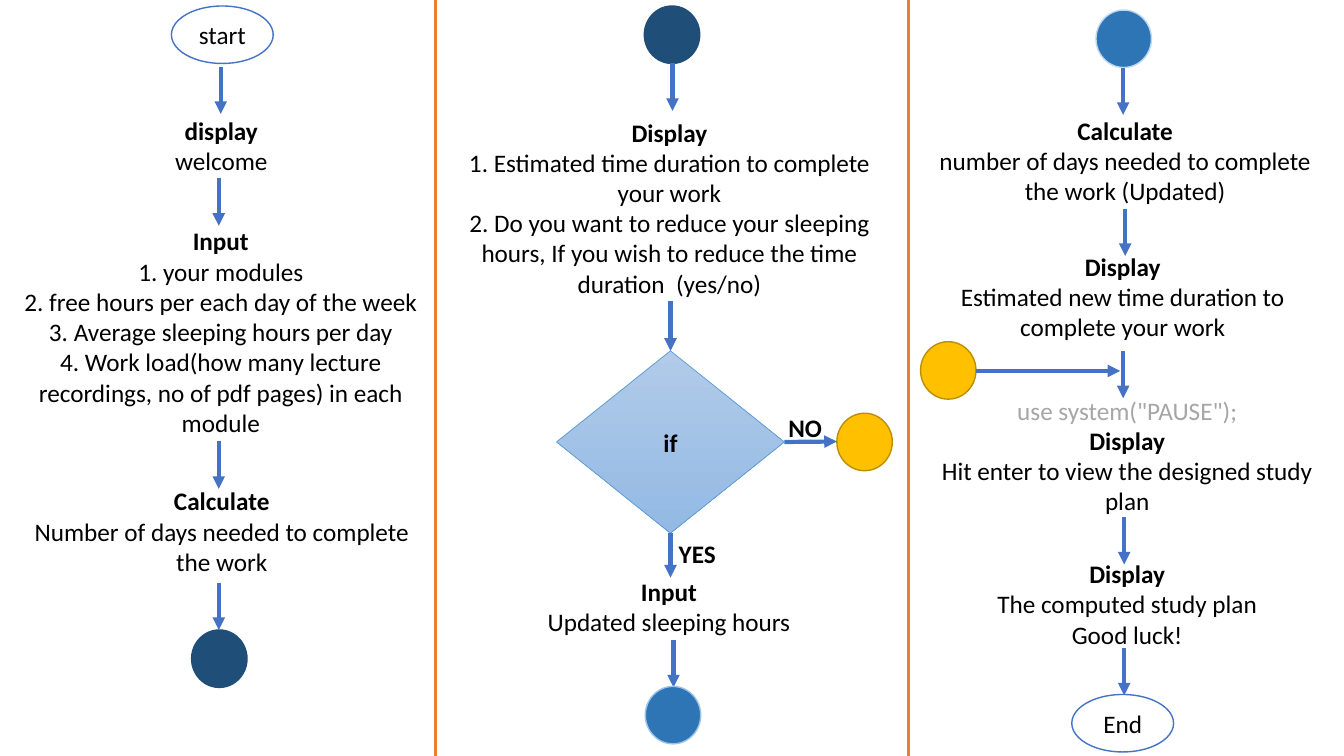
import pptx
import pptx.dml.color
import pptx.enum.shapes
import pptx.enum.text
import pptx.oxml
import pptx.oxml.ns
import pptx.util

PX = 9144
WIDTH, HEIGHT = 1333, 750
DIVIDERS = (432, 901)
FONT, FONT_SIZE = "Calibri", 18
BLACK, WHITE, GREY = "000000", "FFFFFF", "A6A6A6"
BLUE, ORANGE = "4472C4", "ED7D31"
NAVY_LINK = ("1F4E79", "1F4E79")
YELLOW_LINK = ("FFC000", "BD8E00")
MID_BLUE = "2E75B6"
ARROW_LENGTH = 47
LINK_SIZE = (55, 57)
TERMINAL_SIZE = (101, 57)
SHAPES = pptx.enum.shapes.MSO_SHAPE


def px(length):
    """Turn a length in px into EMU."""
    return pptx.util.Emu(length * PX)


def color(value):
    """Turn a hex string into a colour."""
    return pptx.dml.color.RGBColor.from_string(value)


def place(box, left, top, width, height):
    """Return the EMU position and size of a part inside a box."""
    return px(box[0] + left), px(box[1] + top), px(width), px(height)


def write(paragraph, text, bold=False, text_color=BLACK):
    """Fill one centred paragraph."""
    paragraph.text = text
    paragraph.alignment = pptx.enum.text.PP_ALIGN.CENTER
    paragraph.font.name = FONT
    paragraph.font.size = pptx.util.Pt(FONT_SIZE)
    paragraph.font.bold = bold
    paragraph.font.color.rgb = color(text_color)


def add_text(slide, box, area, heading, lines=(), note=None):
    """Add a step: an optional grey note, a bold heading and plain lines."""
    frame = slide.shapes.add_textbox(*place(box, *area)).text_frame
    frame.word_wrap = True
    entries = [(note, False, GREY)] if note else []
    entries.append((heading, True, BLACK))
    entries += [(line, False, BLACK) for line in lines]
    for index, entry in enumerate(entries):
        paragraph = frame.add_paragraph() if index else frame.paragraphs[0]
        write(paragraph, *entry)


def add_node(slide, box, kind, area, line, line_width=1, text=None, bold=False):
    """Add an outlined flowchart shape with an optional label."""
    shape = slide.shapes.add_shape(kind, *place(box, *area))
    shape.shadow.inherit = False
    shape.line.color.rgb = color(line)
    shape.line.width = pptx.util.Pt(line_width)
    if text:
        shape.text_frame.word_wrap = False
        write(shape.text_frame.paragraphs[0], text, bold)
    return shape


def add_terminal(slide, box, left, top, text):
    """Add a white start or end oval."""
    shape = add_node(slide, box, SHAPES.OVAL, (left, top, *TERMINAL_SIZE), BLUE, text=text)
    shape.fill.solid()
    shape.fill.fore_color.rgb = color(WHITE)


def add_link(slide, box, left, top, colors):
    """Add a coloured circle that links two columns."""
    fill, line = colors
    shape = add_node(slide, box, SHAPES.OVAL, (left, top, *LINK_SIZE), line)
    shape.fill.solid()
    shape.fill.fore_color.rgb = color(fill)


def add_decision(slide, box, area, text):
    """Add the gradient decision diamond."""
    shape = add_node(slide, box, SHAPES.FLOWCHART_DECISION, area, "5B9BD5", 0.5, text, True)
    shape.fill.gradient()
    shape.fill.gradient_angle = 270
    for stop, value in zip(shape.fill.gradient_stops, ("B1CBE9", "93B9E4")):
        stop.color.rgb = color(value)
    return shape


def add_line(slide, box, start, end, line, width):
    """Add a straight line without a shadow."""
    connector = slide.shapes.add_connector(
        pptx.enum.shapes.MSO_CONNECTOR.STRAIGHT,
        px(box[0] + start[0]), px(box[1] + start[1]),
        px(box[0] + end[0]), px(box[1] + end[1]))
    connector.line.color.rgb = color(line)
    connector.line.width = pptx.util.Pt(width)
    properties = connector._element.spPr
    properties.append(pptx.oxml.parse_xml(
        "<a:effectLst %s/>" % pptx.oxml.ns.nsdecls("a")))
    return connector


def add_arrow(slide, box, start, end):
    """Add a blue arrow."""
    connector = add_line(slide, box, start, end, BLUE, 3)
    connector.line._get_or_add_ln().append(pptx.oxml.parse_xml(
        '<a:tailEnd %s type="triangle"/>' % pptx.oxml.ns.nsdecls("a")))
    return connector


def add_down_arrow(slide, box, x, y):
    """Add a downward arrow of the common length."""
    return add_arrow(slide, box, (x, y), (x, y + ARROW_LENGTH))


def add_input_column(slide, box):
    """Draw the column from the start to the first calculation."""
    add_terminal(slide, box, 170, 6, "start")
    add_text(slide, box, (133, 109, 173, 71), "display", ["welcome"])
    add_text(slide, box, (7, 219, 424, 222), "Input", [
        "1. your modules",
        "2. free hours per each day of the week",
        "3. Average sleeping hours per day",
        "4. Work load(how many lecture recordings, no of pdf pages) in each module"])
    add_text(slide, box, (7, 477, 426, 101), "Calculate",
             ["Number of days needed to complete the work"])
    for x, y in ((219, 66), (217, 177), (217, 438), (217, 578)):
        add_down_arrow(slide, box, x, y)
    add_link(slide, box, 190, 625, NAVY_LINK)


def add_decision_column(slide, box):
    """Draw the column with the decision on sleeping hours."""
    add_link(slide, box, 207, 6, NAVY_LINK)
    add_text(slide, box, (19, 111, 426, 192), "Display", [
        "1. Estimated time duration to complete your work",
        "2. Do you want to reduce your sleeping hours, If you wish to reduce "
        "the time duration  (yes/no)"])
    decision = add_decision(slide, box, (120, 348, 226, 181), "if")
    add_link(slide, box, 398, 410, YELLOW_LINK)
    add_text(slide, box, (56, 567, 351, 71), "Input", ["Updated sleeping hours"])
    add_down_arrow(slide, box, 235, 63)
    add_down_arrow(slide, box, 233, 299).end_connect(decision, 0)
    add_down_arrow(slide, box, 233, 526).begin_connect(decision, 2)
    add_arrow(slide, box, (346, 438), (398, 438)).begin_connect(decision, 3)
    add_down_arrow(slide, box, 236, 635)
    add_text(slide, box, (200, 529, 119, 40), "YES")
    add_text(slide, box, (307, 404, 119, 40), "NO")
    add_link(slide, box, 208, 681, (MID_BLUE, "9DC3E6"))


def add_plan_column(slide, box):
    """Draw the column from the updated calculation to the end."""
    add_link(slide, box, 186, 10, (MID_BLUE, "BDD7EE"))
    add_text(slide, box, (2, 109, 426, 101), "Calculate",
             ["number of days needed to complete the work (Updated)"])
    add_text(slide, box, (37, 244, 351, 101), "Display",
             ["Estimated new time duration to complete your work"])
    add_text(slide, box, (4, 387, 426, 131), "Display",
             ["Hit enter to view the designed study plan"], 'use system("PAUSE");')
    add_text(slide, box, (4, 549, 426, 101), "Display",
             ["The computed study plan", "Good luck!"])
    for x, y in ((213, 67), (215, 207), (213, 348), (214, 513), (214, 643)):
        add_down_arrow(slide, box, x, y)
    add_link(slide, box, 12, 339, YELLOW_LINK)
    add_arrow(slide, box, (67, 368), (210, 368))
    add_terminal(slide, box, 162, 689, "End")


def main():
    """Build the flowchart slide and save it."""
    presentation = pptx.Presentation()
    presentation.slide_width, presentation.slide_height = px(WIDTH), px(HEIGHT)
    slide = presentation.slides.add_slide(presentation.slide_layouts[6])
    for x in DIVIDERS:
        add_line(slide, (0, 0), (x, 0), (x, HEIGHT), ORANGE, 2.25)
    columns = (add_input_column, add_decision_column, add_plan_column)
    for add_column, left in zip(columns, (0, *DIVIDERS)):
        add_column(slide, (left, 0))
    presentation.save("out.pptx")


if __name__ == "__main__":
    main()
